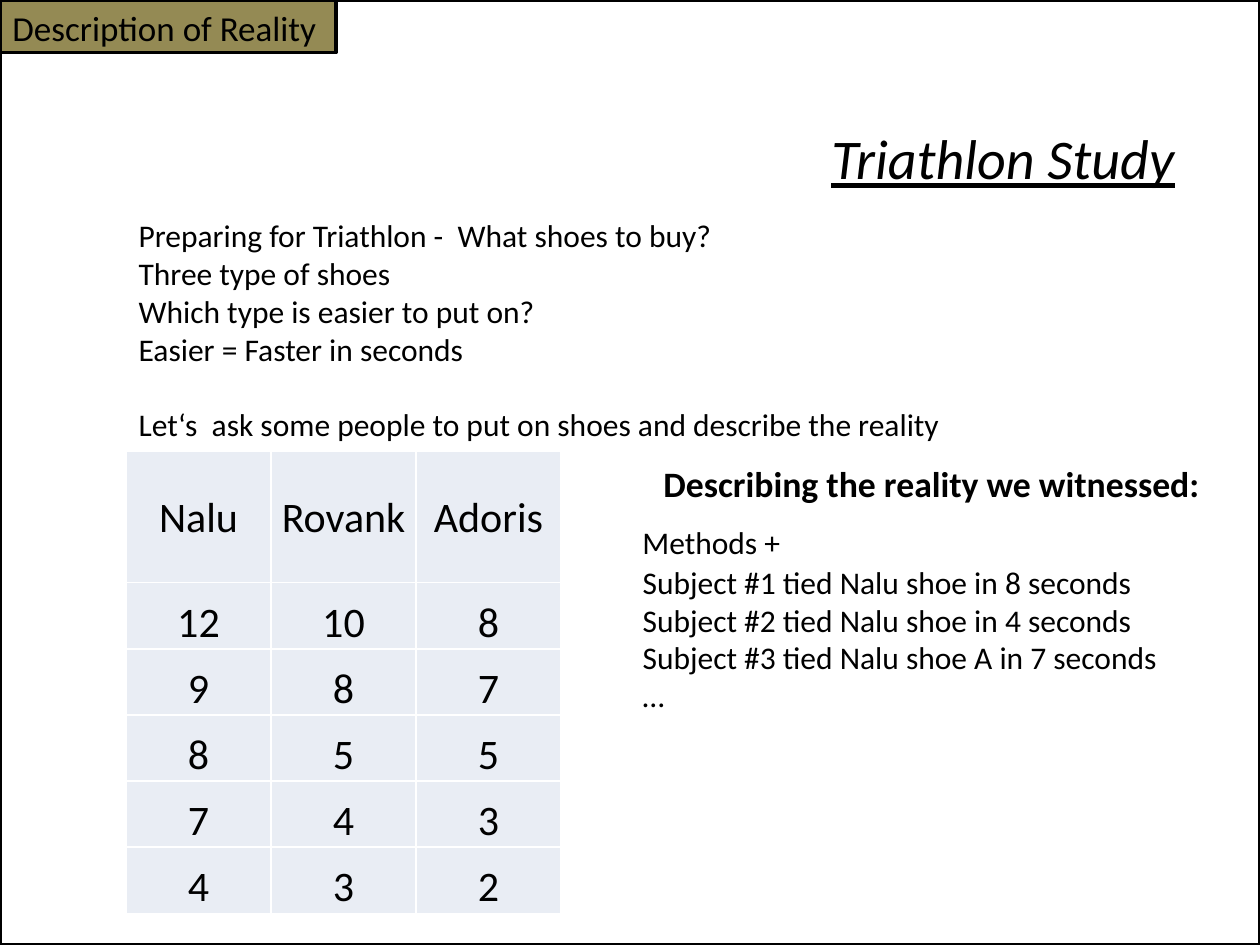
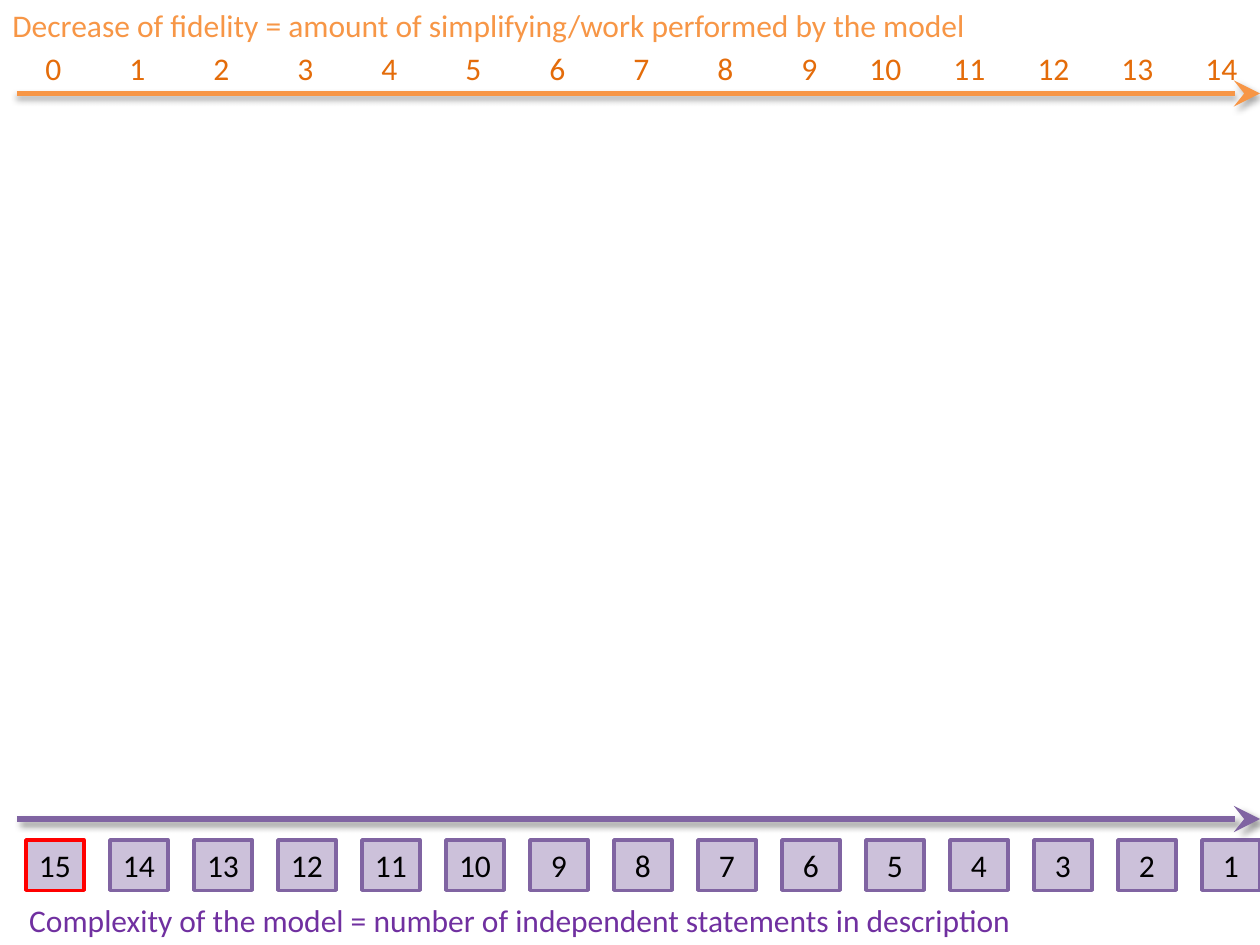
import dataclasses

import pptx
import pptx.dml.color
import pptx.enum.shapes
import pptx.enum.text
import pptx.oxml
import pptx.oxml.ns
import pptx.util


@dataclasses.dataclass(frozen=True)
class Theme:
    font: str = "Calibri"
    black: str = "000000"
    white: str = "FFFFFF"
    olive: str = "948A54"
    cell: str = "E9EDF4"
    orange: str = "F79646"
    dark_orange: str = "E46C0A"
    purple: str = "8064A2"
    pale_purple: str = "CCC1DA"
    deep_purple: str = "7030A0"
    red: str = "FF0000"
    title: float = 32
    table: float = 24
    heading: float = 20.4
    band: float = 20
    body: float = 18


T = Theme()
RGB = pptx.dml.color.RGBColor.from_string
Pt = pptx.util.Pt
ALIGN = pptx.enum.text.PP_ALIGN
ANCHOR = pptx.enum.text.MSO_ANCHOR
RECT = pptx.enum.shapes.MSO_SHAPE.RECTANGLE
NS = pptx.oxml.ns.nsdecls("a")

prs = pptx.Presentation()
prs.slide_width = pptx.util.Inches(10)
prs.slide_height = pptx.util.Inches(7.5)

# Grid: 15 columns by 18 rows
COLS, ROWS = 15, 18
COL, ROW = prs.slide_width / COLS, prs.slide_height / ROWS


def area(x, y, w, h):
    """Left, top, width and height of a block given in columns and rows."""
    return [round(v) for v in (x * COL, y * ROW, w * COL, h * ROW)]


def write(tf, lines, size=T.body, color=T.black, align=ALIGN.LEFT,
          anchor=ANCHOR.TOP, **style):
    """Fill a text frame with one run per paragraph."""
    tf.word_wrap = True
    tf.auto_size = pptx.enum.text.MSO_AUTO_SIZE.NONE
    tf.vertical_anchor = anchor
    for i, line in enumerate(lines):
        p = tf.add_paragraph() if i else tf.paragraphs[0]
        p.alignment = align
        p.space_before = Pt(0)
        r = p.add_run()
        r.text = line
        r.font.name = T.font
        r.font.size = Pt(size)
        r.font.color.rgb = RGB(color)
        for name, value in style.items():
            setattr(r.font, name, value)


# Slide 1: the study
s = prs.slides.add_slide(prs.slide_layouts[3])
title, question, findings = s.placeholders
title.left, title.top, title.width, title.height = area(8.88, 2, 6.12, 2)
write(title.text_frame, ["Triathlon Study"], T.title, align=ALIGN.CENTER,
      anchor=ANCHOR.MIDDLE, italic=True, underline=True)

# Lists without bullets
lists = [
    (question, area(1.5, 4, 10.37, 4.6), [
        "Preparing for Triathlon -  What shoes to buy?",
        "Three type of shoes",
        "Which type is easier to put on?",
        "Easier = Faster in seconds",
        "Let‘s  ask some people to put on shoes and describe the reality"]),
    (findings, area(7.5, 10.6, 7.38, 3.15), [
        "Subject #1 tied Nalu shoe in 8 seconds",
        "Subject #2 tied Nalu shoe in 4 seconds",
        "Subject #3 tied Nalu shoe A in 7 seconds",
        "…"]),
]
for sp, box, lines in lists:
    sp.left, sp.top, sp.width, sp.height = box
    write(sp.text_frame, lines)
    for p in sp.text_frame.paragraphs:
        pPr = p._p.get_or_add_pPr()
        pPr.set("marL", "0")
        pPr.set("indent", "0")
        pPr.append(pptx.oxml.parse_xml(f"<a:buNone {NS}/>"))
question.text_frame.paragraphs[-1].space_before = Pt(1.2 * T.body)

# Section band and slide frame
band = s.shapes.add_shape(RECT, *area(0, 0, 4, 1))
band.fill.solid()
band.fill.fore_color.rgb = RGB(T.olive)
write(band.text_frame, ["Description of Reality"], T.band)
frame = s.shapes.add_shape(RECT, *area(0, 0, COLS, ROWS))
frame.fill.background()
for sp in (band, frame):
    sp.shadow.inherit = False
    sp.line.color.rgb = RGB(T.black)
    sp.line.width = Pt(2)

# Headings above the findings
tb = s.shapes.add_textbox(*area(7.75, 8.45, 7.15, 1.5))
write(tb.text_frame, ["Describing the reality we witnessed:"], T.heading,
      anchor=ANCHOR.MIDDLE, bold=True)
tb = s.shapes.add_textbox(*area(7.5, 9.84, 3.87, 0.96))
write(tb.text_frame, ["Methods +"])

# Table of times in seconds
times = [
    ["Nalu", "Rovank", "Adoris"],
    [12, 10, 8],
    [9, 8, 7],
    [8, 5, 5],
    [7, 4, 3],
    [4, 3, 2],
]
table = s.shapes.add_table(len(times), 3, *area(1.5, 8.6, 5.18, 8.8)).table
table.first_row = table.horz_banding = False
for i, row in enumerate(times):
    table.rows[i].height = round((1.26 if i else 2.5) * ROW)
    for j, value in enumerate(row):
        cell = table.cell(i, j)
        cell.margin_left = cell.margin_right = cell.margin_top = Pt(0.75)
        cell.margin_bottom = 0
        for side in "LRTB":
            cell._tc.get_or_add_tcPr().append(pptx.oxml.parse_xml(
                f'<a:ln{side} {NS} w="12700"><a:solidFill>'
                f'<a:srgbClr val="{T.white}"/></a:solidFill></a:ln{side}>'))
        cell.fill.solid()
        cell.fill.fore_color.rgb = RGB(T.cell)
        write(cell.text_frame, [str(value)], T.table, align=ALIGN.CENTER)
        cell.vertical_anchor = ANCHOR.BOTTOM if i else ANCHOR.MIDDLE

# Slide 2: fidelity against complexity
s = prs.slides.add_slide(prs.slide_layouts[6])

# One fidelity number and one complexity box in each column
for i in range(COLS):
    box = s.shapes.add_shape(RECT, *area(i + 0.31, 16, 0.69, 0.96))
    box.shadow.inherit = False
    box.fill.solid()
    box.fill.fore_color.rgb = RGB(T.pale_purple)
    box.line.color.rgb = RGB(T.purple if i else T.red)
    box.line.width = Pt(2)
    write(box.text_frame, [str(COLS - i)], align=ALIGN.CENTER)
    tb = s.shapes.add_textbox(*area(i + 0.19, 0.82, 0.69, 0.96))
    write(tb.text_frame, [str(i)], color=T.dark_orange, align=ALIGN.RIGHT)

# Axis captions
captions = [
    (0, 0, T.orange,
     "Decrease of fidelity = amount of simplifying/work performed by the model"),
    (0.2, 17.04, T.deep_purple,
     "Complexity of the model = number of independent statements in description"),
]
for x, y, color, text in captions:
    tb = s.shapes.add_textbox(*area(x, y, 12.38, 0.96))
    write(tb.text_frame, [text], color=color)

# Axis arrows: row, colour, then shadow opacity, blur, distance and angle
axes = [
    (1.78, T.orange, 35, 3.1, 1.8, 90),
    (15.6, T.purple, 40, 4, 3, 45),
]
for y, color, opacity, blur, dist, angle in axes:
    x1, y1, x2, _ = area(0.2, y, COLS, 0)
    axis = s.shapes.add_connector(
        pptx.enum.shapes.MSO_CONNECTOR.STRAIGHT, x1, y1, x2, y1)
    axis.line.color.rgb = RGB(color)
    axis.line.width = Pt(3)
    axis.end_x = prs.slide_width
    axis.line._get_or_add_ln().append(pptx.oxml.parse_xml(
        f'<a:tailEnd {NS} type="stealth" w="lg" len="lg"/>'))
    axis._element.spPr.append(pptx.oxml.parse_xml(
        f'<a:effectLst {NS}><a:outerShdw blurRad="{Pt(blur)}" '
        f'dist="{Pt(dist)}" dir="{angle * 60000}" rotWithShape="0">'
        f'<a:srgbClr val="{T.black}"><a:alpha val="{opacity * 1000}"/>'
        f'</a:srgbClr></a:outerShdw></a:effectLst>'))

prs.save("out.pptx")
